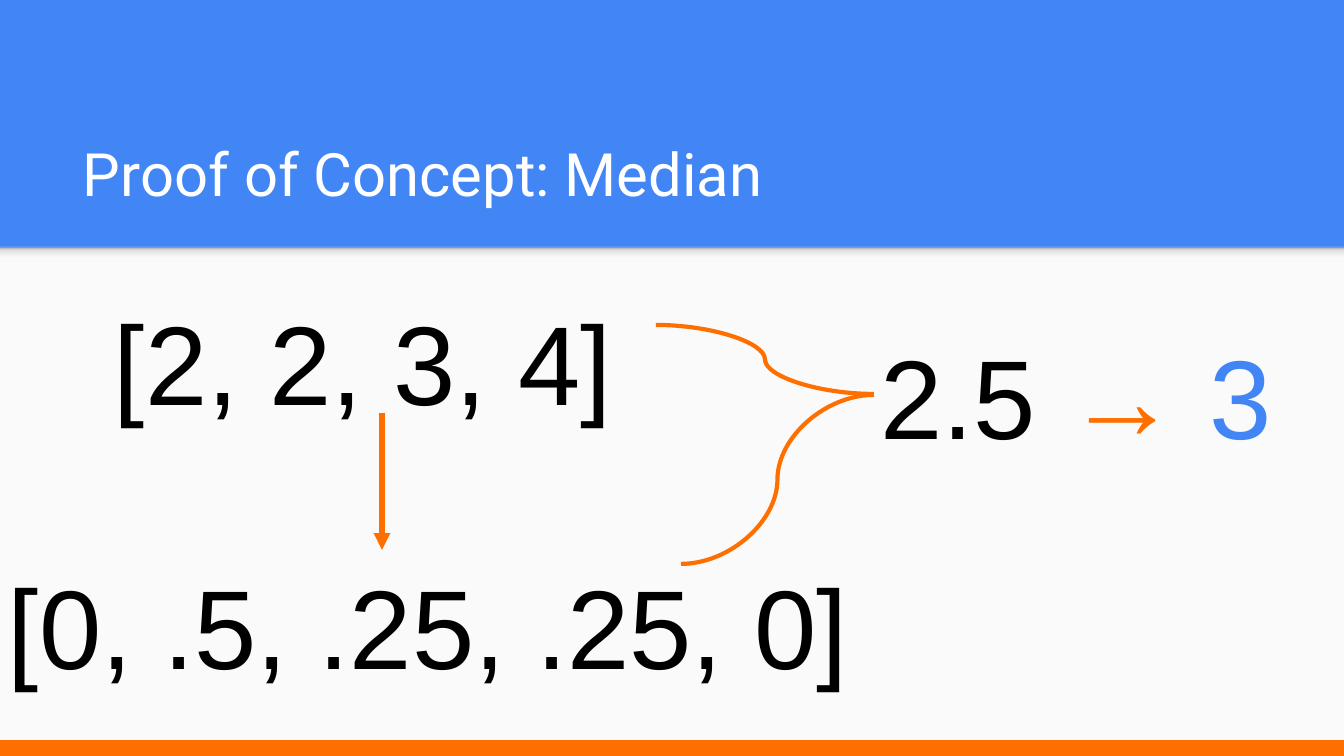
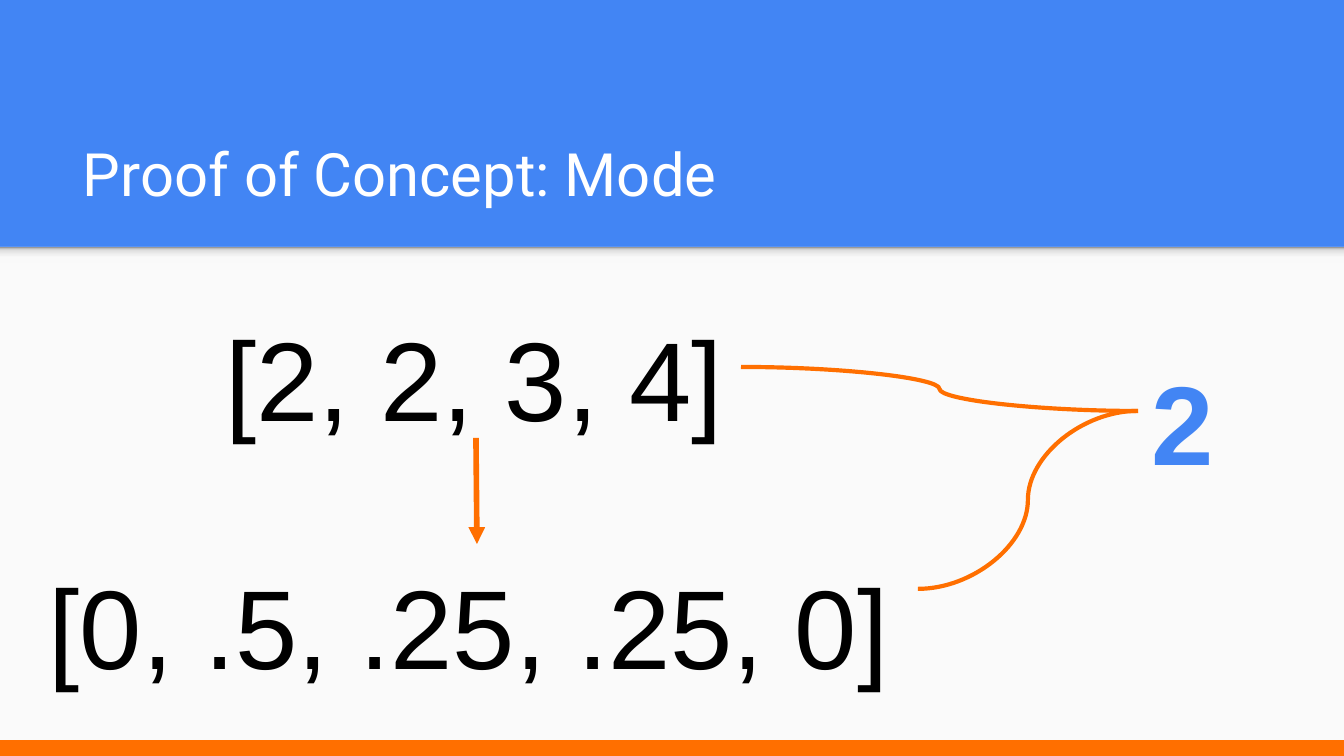
from dataclasses import dataclass

from lxml.etree import SubElement
from pptx import Presentation
from pptx.dml.color import RGBColor
from pptx.enum.shapes import MSO_CONNECTOR as LINE, MSO_SHAPE as SHAPE
from pptx.enum.text import MSO_ANCHOR as ANCHOR
from pptx.oxml.ns import qn
from pptx.util import Pt


@dataclass(frozen=True)
class Theme:
    blue: str = "4285F4"
    orange: str = "FF6F00"
    paper: str = "FAFAFA"
    white: str = "FFFFFF"
    black: str = "000000"
    band_shadow: tuple = ((0, "F9F9F9"), (36, "F9F9F9"), (80, "DEDEDE"), (100, "999999"))
    title_font: str = "Roboto"
    body_font: str = "Arial"
    title_size: int = 32
    body_size: int = 60
    curve_width: float = 2.25
    arrow_width: float = 3
    bar_width: float = 0.75


T = Theme()
WIDTH, HEIGHT = 1344, 756
BAND_BOTTOM, SHADOW_HEIGHT, BAR_HEIGHT = 247, 16, 15
TITLE_BOX = (70, 109, 1208, 113)
INSET = 13

VALUES = "[2, 2, 3, 4]"
SHARES = "[0, .5, .25, .25, 0]"

# Boxes are left, top, width, height; lines are x1, y1, x2, y2.
SLIDES = [
    dict(
        title="Proof of Concept: Median",
        values=(101, 280, 554, 90),
        shares=(-5, 544, 890, 90),
        result=(867, 314, 444, 74),
        result_runs=[("2.5 ", T.black), ("→ ", T.orange), ("3", T.blue)],
        result_bold=False,
        curves=[(656, 325, 874, 394), (681, 564, 874, 395)],
        arrow=(382, 413, 382, 550),
    ),
    dict(
        title="Proof of Concept: Mode",
        values=(212, 297, 528, 140),
        shares=(36, 544, 883, 90),
        result=(1138, 341, 99, 140),
        result_runs=[("2", T.blue)],
        result_bold=True,
        curves=[(741, 367, 1138, 411), (918, 589, 1138, 411)],
        arrow=(476, 438, 477, 544),
    ),
]


def px(n):
    return round(n * 914400 / 134.4)


def rgb(color):
    return RGBColor.from_string(color)


def add_text(slide, box, runs, font=T.body_font, size=T.body_size,
             bold=False, anchor=ANCHOR.TOP):
    """Add a text box holding one paragraph of (text, colour) runs."""
    tf = slide.shapes.add_textbox(*map(px, box)).text_frame
    tf.word_wrap = True
    tf.vertical_anchor = anchor
    tf.margin_left = tf.margin_top = tf.margin_right = tf.margin_bottom = px(INSET)
    p = tf.paragraphs[0]
    for text, color in runs:
        r = p.add_run()
        r.text = text
        r.font.name, r.font.size, r.font.bold = font, Pt(size), bold
        r.font.color.rgb = rgb(color)


def add_rect(slide, top, height, color=None):
    """Add a full-width rectangle without outline."""
    sp = slide.shapes.add_shape(SHAPE.RECTANGLE, 0, px(top), px(WIDTH), px(height))
    sp.shadow.inherit = False
    sp.line.fill.background()
    if color:
        sp.fill.solid()
        sp.fill.fore_color.rgb = rgb(color)
    return sp


def fill_gradient(sp, stops):
    """Fill from bottom to top with (percent, colour) stops."""
    sp.fill.gradient()
    sp.fill.gradient_angle = 90
    stop_list = sp._element.spPr.find(".//" + qn("a:gsLst"))
    for stop in list(stop_list):
        stop_list.remove(stop)
    for percent, color in stops:
        stop = SubElement(stop_list, qn("a:gs"), pos=str(percent * 1000))
        SubElement(stop, qn("a:srgbClr"), val=color)


def add_line(slide, kind, ends, width, arrowhead=False):
    line = slide.shapes.add_connector(kind, *map(px, ends))
    line.line.color.rgb = rgb(T.orange)
    line.line.width = Pt(width)
    if arrowhead:
        SubElement(line.line._get_or_add_ln(), qn("a:tailEnd"), type="triangle")
    SubElement(line._element.spPr, qn("a:effectLst"))


def add_frame(slide, title):
    """Add the background, title band and its shadow, and title."""
    slide.background.fill.solid()
    slide.background.fill.fore_color.rgb = rgb(T.blue)
    add_rect(slide, BAND_BOTTOM, HEIGHT - BAND_BOTTOM, T.paper)
    fill_gradient(add_rect(slide, BAND_BOTTOM, SHADOW_HEIGHT), T.band_shadow)
    add_text(slide, TITLE_BOX, [(title, T.white)], font=T.title_font,
             size=T.title_size, anchor=ANCHOR.BOTTOM)


def add_footer(slide):
    bar = add_rect(slide, HEIGHT - BAR_HEIGHT, BAR_HEIGHT, T.orange)
    bar.line.color.rgb = rgb(T.orange)
    bar.line.width = Pt(T.bar_width)


def build_slide(prs, content):
    slide = prs.slides.add_slide(prs.slide_layouts[6])
    add_frame(slide, content["title"])
    add_text(slide, content["values"], [(VALUES, T.black)])
    add_text(slide, content["shares"], [(SHARES, T.black)])
    add_text(slide, content["result"], content["result_runs"], bold=content["result_bold"])
    for ends in content["curves"]:
        add_line(slide, LINE.CURVE, ends, T.curve_width)
    add_line(slide, LINE.STRAIGHT, content["arrow"], T.arrow_width, arrowhead=True)
    add_footer(slide)


def main():
    prs = Presentation()
    prs.slide_width, prs.slide_height = px(WIDTH), px(HEIGHT)
    for content in SLIDES:
        build_slide(prs, content)
    prs.save("out.pptx")


if __name__ == "__main__":
    main()
